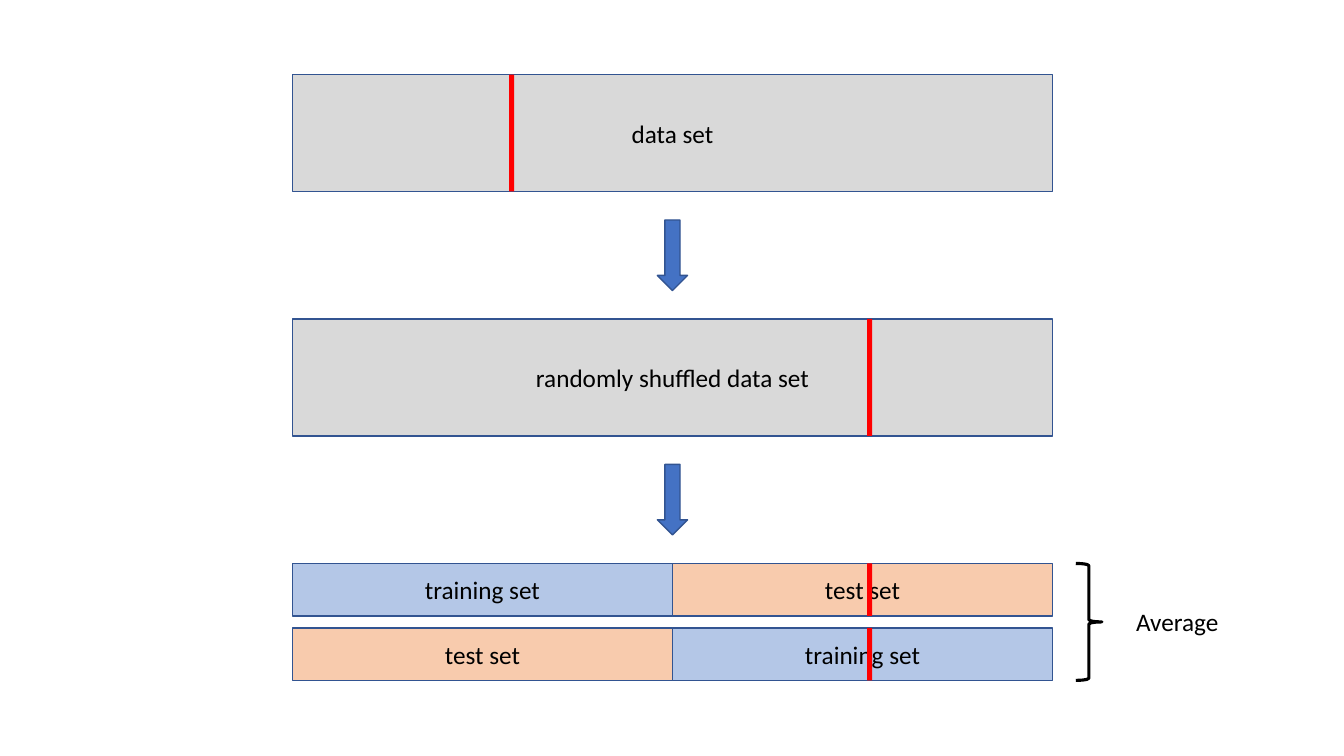
from pptx import Presentation
from pptx.dml.color import RGBColor
from pptx.enum.shapes import MSO_SHAPE
from pptx.enum.text import MSO_ANCHOR, PP_ALIGN
from pptx.util import Inches, Pt

RECT = MSO_SHAPE.RECTANGLE
DOWN_ARROW = MSO_SHAPE.DOWN_ARROW
RIGHT_BRACE = MSO_SHAPE.RIGHT_BRACE
MIDDLE = MSO_ANCHOR.MIDDLE
CENTER, LEFT = PP_ALIGN.CENTER, PP_ALIGN.LEFT

COLORS = {
    "data": "D9D9D9",
    "training": "B4C7E7",
    "test": "F8CBAD",
    "arrow": "4472C4",
    "outline": "325491",
    "marker": "FF0000",
    "black": "000000",
}

SLIDE_W, SLIDE_H = 13.33, 7.5
BAR_X, BAR_W, BAR_H = 2.9, 7.54, 1.16
TOP, PITCH = 0.74, 2.425
HALF_W, FOLD_H, FOLD_PITCH = BAR_W / 2, 0.52, 0.64
ARROW_W, ARROW_H = 0.3, 0.7
ROWS = [TOP + i * PITCH for i in range(3)]
FOLDS = [ROWS[2] + i * FOLD_PITCH for i in range(2)]

prs = Presentation()
prs.slide_width, prs.slide_height = Inches(SLIDE_W), Inches(SLIDE_H)
s = prs.slides.add_slide(prs.slide_layouts[6])


def add_text(sp, text, align=CENTER, wrap=True, size=18, color="black"):
    tf = sp.text_frame
    tf.word_wrap = wrap
    tf.vertical_anchor = MIDDLE
    p = tf.paragraphs[0]
    p.alignment = align
    r = p.add_run()
    r.text = text
    r.font.name = "Calibri"
    r.font.size = Pt(size)
    r.font.color.rgb = RGBColor.from_string(COLORS[color])


def add_block(kind, x, y, w, h, fill=None, line="outline", weight=1):
    sp = s.shapes.add_shape(kind, Inches(x), Inches(y), Inches(w), Inches(h))
    sp.shadow.inherit = False
    if fill:
        sp.fill.solid()
        sp.fill.fore_color.rgb = RGBColor.from_string(COLORS[fill])
    else:
        sp.fill.background()
    if line:
        sp.line.color.rgb = RGBColor.from_string(COLORS[line])
        sp.line.width = Pt(weight)
    else:
        sp.line.fill.background()
    return sp


for y, label in zip(ROWS, ["data set", "randomly shuffled data set"]):
    add_text(add_block(RECT, BAR_X, y, BAR_W, BAR_H, "data"), label)
    gap = PITCH - BAR_H
    add_block(DOWN_ARROW, BAR_X + (BAR_W - ARROW_W) / 2,
              y + BAR_H + (gap - ARROW_H) / 2, ARROW_W, ARROW_H, "arrow")

for y, parts in zip(FOLDS, [("training", "test"), ("test", "training")]):
    for col, part in enumerate(parts):
        sp = add_block(RECT, BAR_X + col * HALF_W, y, HALF_W, FOLD_H, part)
        add_text(sp, f"{part} set")

markers = [(5.05, ROWS[0], BAR_H), (8.6, ROWS[1], BAR_H)]
markers += [(8.6, y, FOLD_H) for y in FOLDS]
for x, y, h in markers:
    add_block(RECT, x, y, 0.05, h, "marker", line=None)

add_block(RIGHT_BRACE, 10.67, ROWS[2], 0.26, BAR_H, line="black", weight=2.25)
tb = s.shapes.add_textbox(Inches(11.17), Inches(5.97), Inches(1.03), Inches(0.4))
add_text(tb, "Average", align=LEFT, wrap=False)

prs.save("out.pptx")
